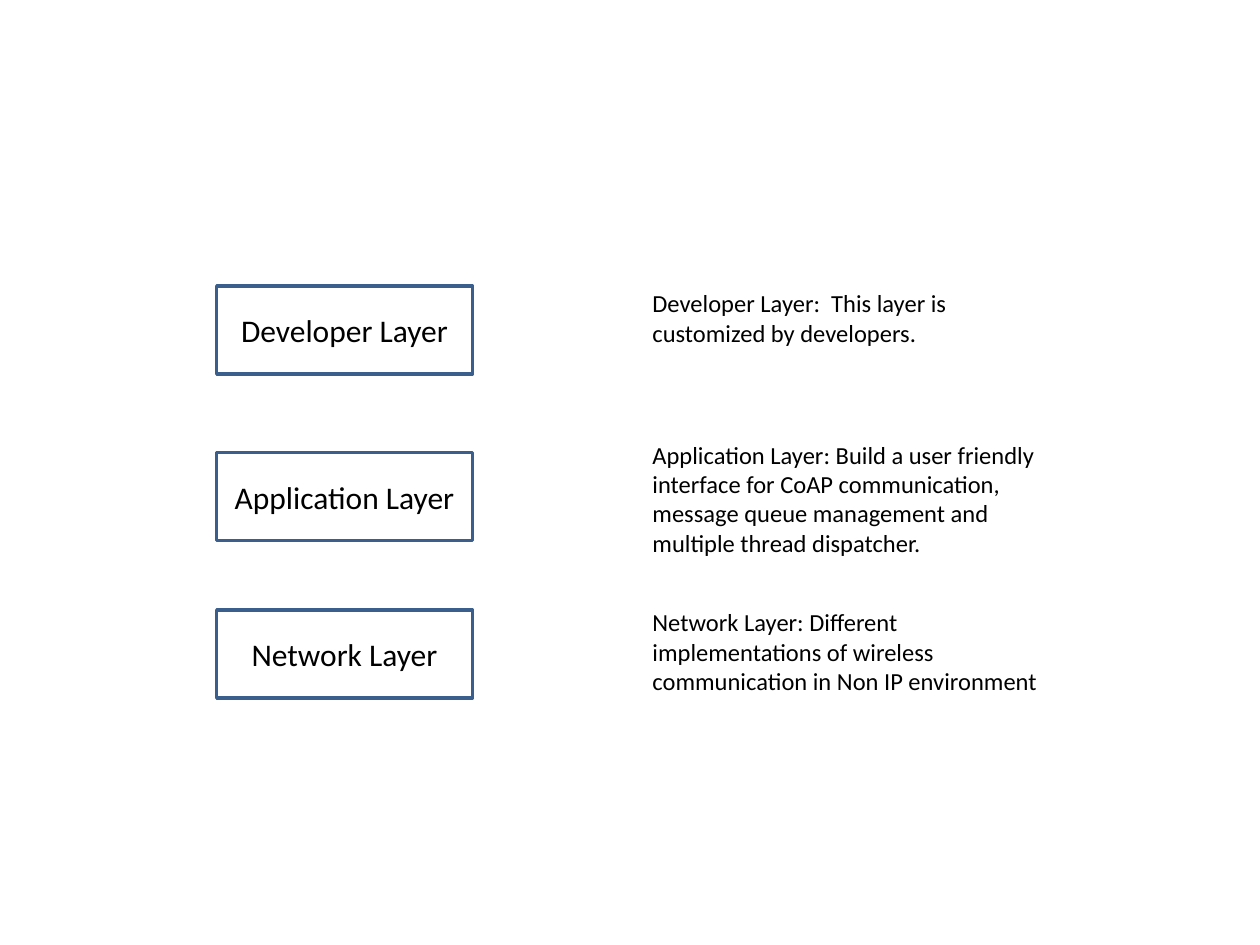
from pptx import Presentation
from pptx.dml.color import RGBColor
from pptx.enum.shapes import MSO_SHAPE
from pptx.enum.text import MSO_ANCHOR, MSO_AUTO_SIZE, PP_ALIGN
from pptx.util import Inches, Pt

COLORS = {"fill": "FFFFFF", "line": "3A5F8C", "text": "000000"}
BOX_COL, NOTE_COL = 1.72, 5.08
BOX_W, BOX_H, NOTE_W = 2.03, 0.7, 3.44
LAYERS = [
    ("Developer Layer", 2.27, 2.24, 0.57,
     "Developer Layer:  This layer is customized by developers."),
    ("Application Layer", 3.59, 3.44, 1.04,
     "Application Layer: Build a user friendly interface for CoAP communication,  "
     "message queue management and multiple thread dispatcher."),
    ("Network Layer", 4.84, 4.77, 0.81,
     "Network Layer: Different  implementations of wireless communication "
     "in Non IP environment"),
]


def color(name):
    """Return the named palette colour."""
    return RGBColor.from_string(COLORS[name])


def write(shape, text, size, align):
    """Set one paragraph of text and its format."""
    frame = shape.text_frame
    frame.word_wrap = True
    frame.text = text
    para = frame.paragraphs[0]
    para.alignment = align
    font = para.runs[0].font
    font.name, font.size = "Calibri", Pt(size)
    font.color.rgb = color("text")


def add_box(slide, text, top):
    """Draw the outlined box of a layer."""
    box = slide.shapes.add_shape(
        MSO_SHAPE.RECTANGLE, Inches(BOX_COL), Inches(top), Inches(BOX_W), Inches(BOX_H))
    box.shadow.inherit = False
    box.fill.solid()
    box.fill.fore_color.rgb = color("fill")
    box.line.color.rgb = color("line")
    box.line.width = Pt(2)
    write(box, text, 18, PP_ALIGN.CENTER)
    box.text_frame.vertical_anchor = MSO_ANCHOR.MIDDLE


def add_note(slide, text, top, height):
    """Place the description of a layer."""
    note = slide.shapes.add_textbox(
        Inches(NOTE_COL), Inches(top), Inches(NOTE_W), Inches(height))
    write(note, text, 14, PP_ALIGN.LEFT)
    note.text_frame.auto_size = MSO_AUTO_SIZE.SHAPE_TO_FIT_TEXT


def main():
    """Build the slide of layers and save it."""
    deck = Presentation()
    deck.slide_width, deck.slide_height = Inches(10), Inches(7.5)
    slide = deck.slides.add_slide(deck.slide_layouts[6])
    for name, box_top, note_top, height, text in LAYERS:
        add_box(slide, name, box_top)
        add_note(slide, text, note_top, height)
    deck.save("out.pptx")


if __name__ == "__main__":
    main()
